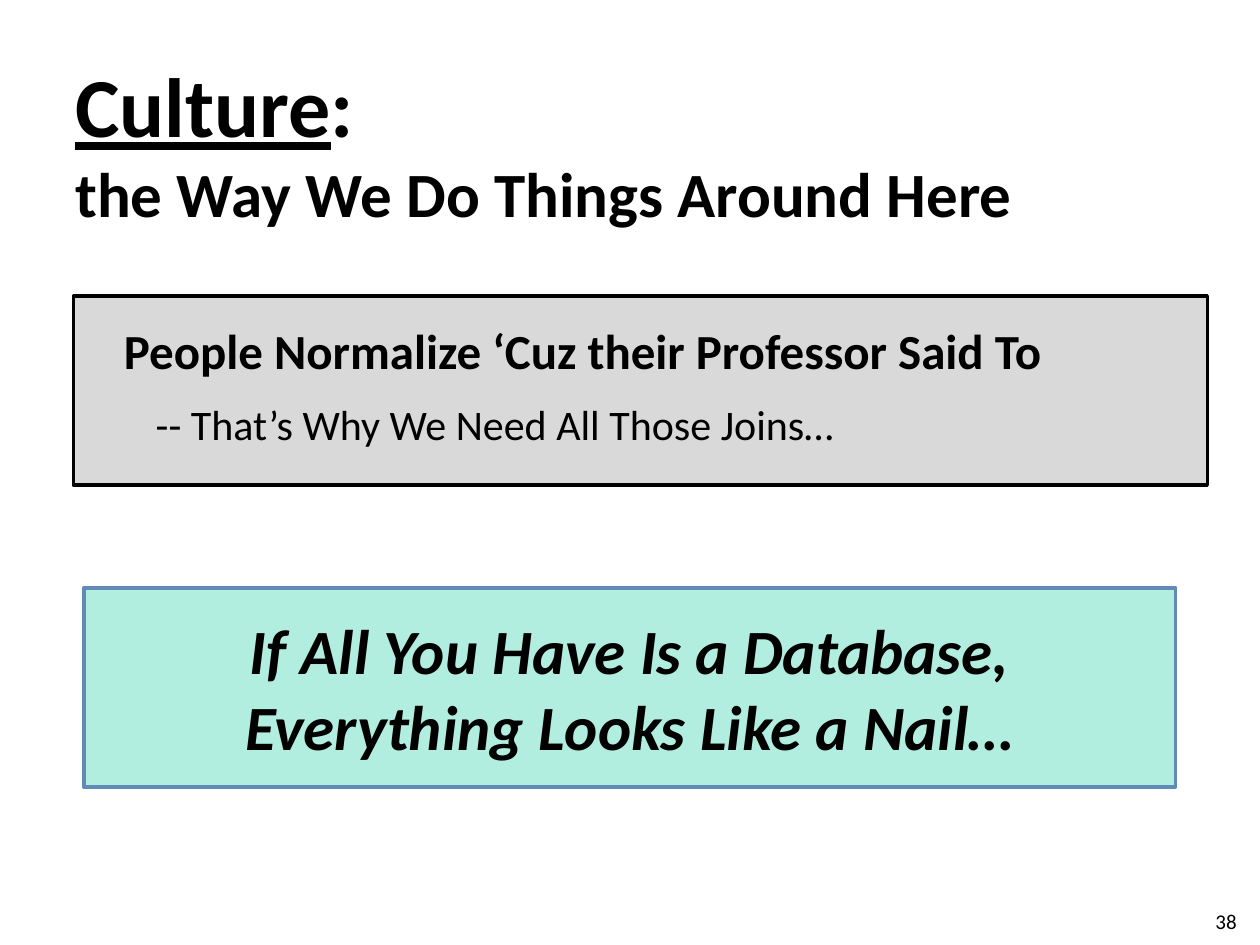
from pptx import Presentation
from pptx.dml.color import RGBColor
from pptx.enum.shapes import MSO_SHAPE
from pptx.enum.text import MSO_ANCHOR, PP_ALIGN
from pptx.util import Cm, Pt

HUES = {"ink": "000000", "gray": "D9D9D9", "mint": "B2EEE0", "blue": "618AB7"}


class Deck:
    """Holds the style and the current slide."""

    def __init__(self, font, hues):
        self.font, self.hues = font, hues
        self.show = Presentation()
        self.show.slide_width, self.show.slide_height = Cm(25.4), Cm(19.05)
        self.slide = self.show.slides.add_slide(self.show.slide_layouts[6])

    def hue(self, name):
        return RGBColor.from_string(self.hues[name])

    def style(self, run, size, bold=False, slant=False, under=False):
        font = run.font
        font.name, font.size = self.font, Pt(size)
        font.bold, font.italic, font.underline = bold, slant, under
        font.color.rgb = self.hue("ink")

    def panel(self, area, fill, line):
        box = self.slide.shapes.add_shape(MSO_SHAPE.RECTANGLE, *map(Cm, area))
        box.shadow.inherit = False
        box.fill.solid()
        box.fill.fore_color.rgb = self.hue(fill)
        box.line.color.rgb = self.hue(line)
        box.line.width = Pt(2)
        return box

    def frame(self, area):
        frame = self.slide.shapes.add_textbox(*map(Cm, area)).text_frame
        frame.word_wrap = True
        return frame

    def title(self, area, head, tail):
        frame = self.frame(area)
        frame.vertical_anchor = MSO_ANCHOR.MIDDLE
        para = frame.paragraphs[0]
        para.text = head
        self.style(para.runs[0], 48, bold=True, under=True)
        colon = para.add_run()
        colon.text = ":"
        self.style(colon, 48, bold=True)
        para.add_line_break()
        rest = para.add_run()
        rest.text = tail
        self.style(rest, 36, bold=True)

    def body(self, area, rows):
        frame = self.frame(area)
        frame.margin_left = frame.margin_right = Cm(0.38)
        frame.margin_top = frame.margin_bottom = Cm(0.2)
        frame.text = "\n".join(text for text, *_ in rows)
        for para, (_, size, bold, left, hang) in zip(frame.paragraphs, rows):
            para.line_spacing, para.space_before = 1.2, Pt(size * 0.2)
            props = para._p.get_or_add_pPr()
            props.set("marL", str(Cm(left)))
            props.set("indent", str(-Cm(hang)))
            self.style(para.runs[0], size, bold)

    def quote(self, area, text):
        frame = self.panel(area, "mint", "blue").text_frame
        frame.word_wrap = True
        frame.vertical_anchor = MSO_ANCHOR.MIDDLE
        para = frame.paragraphs[0]
        para.text = text
        para.alignment = PP_ALIGN.CENTER
        for run in para.runs:
            self.style(run, 36, bold=True, slant=True)

    def number(self, area, text):
        para = self.frame(area).paragraphs[0]
        para.text = text
        para.alignment = PP_ALIGN.RIGHT
        self.style(para.runs[0], 12)


def main():
    deck = Deck("Calibri", HUES)
    deck.panel((1.48, 5.97, 22.86, 3.81), "gray", "ink")
    deck.body((2.12, 6.03, 22.86, 7.06), [
        ("People Normalize ‘Cuz their Professor Said To", 28, True, 0.61, 0.61),
        ("-- That’s Why We Need All Those Joins…", 24, False, 1.3, 0.66),
    ])
    deck.title((1.27, 1.27, 22.86, 3.18), "Culture", "the Way We Do Things Around Here")
    deck.quote((1.69, 11.85, 22.01, 4.02),
               "If All You Have Is a Database,\vEverything Looks Like a Nail…")
    deck.number((22.22, 18.2, 2.96, 0.81), "38")
    deck.show.save("out.pptx")


if __name__ == "__main__":
    main()
